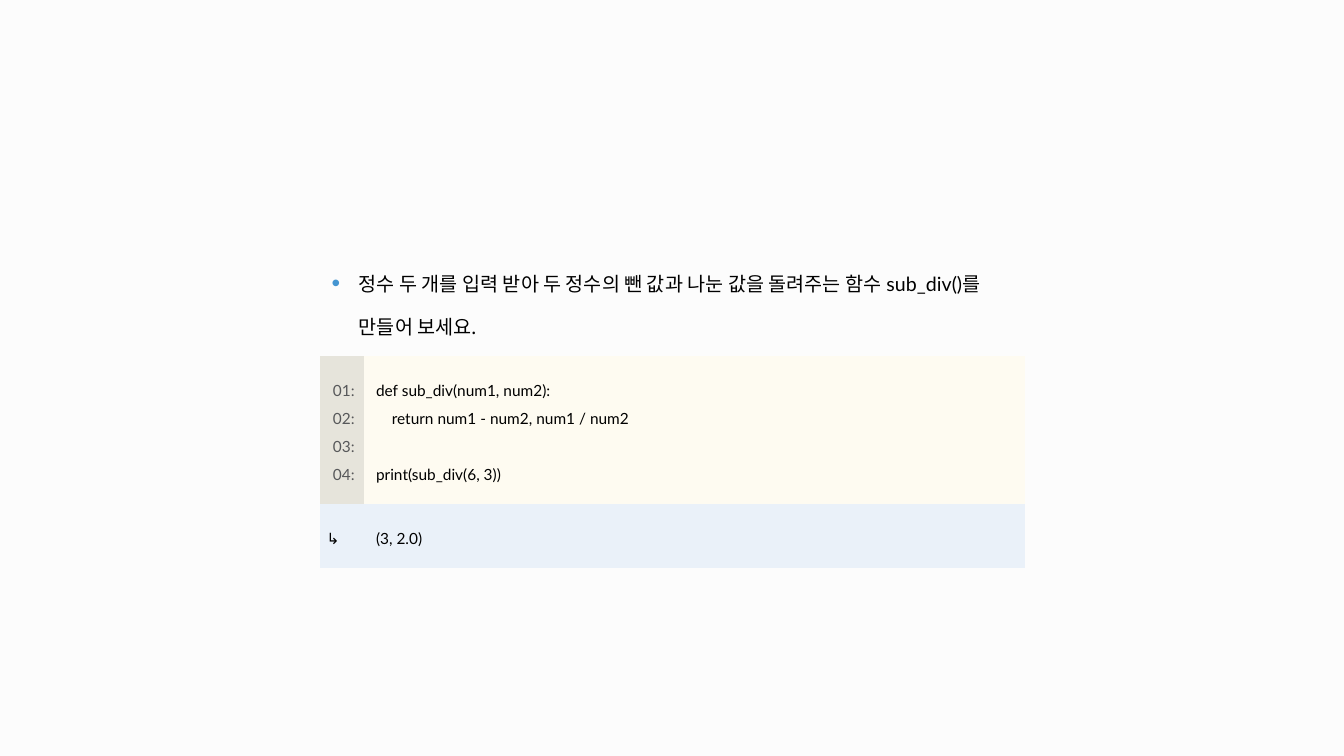
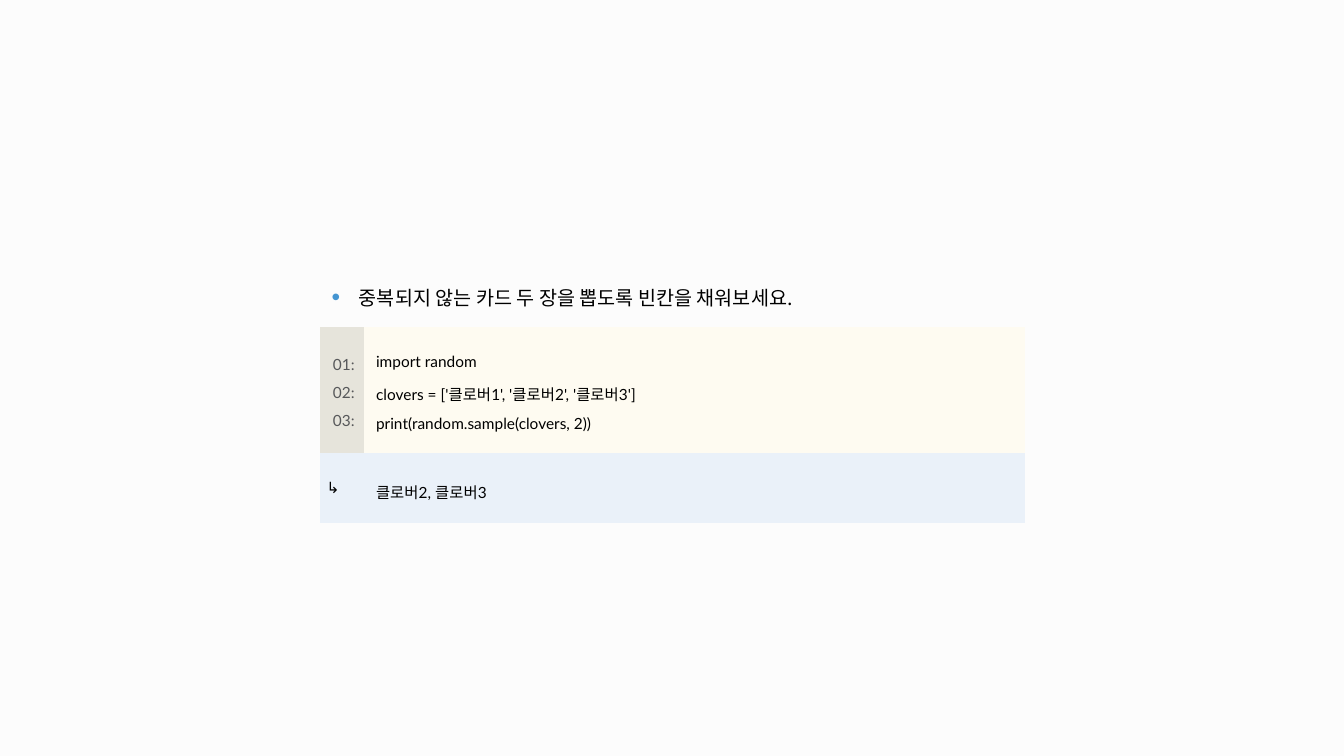
from pptx import Presentation
from pptx.dml.color import RGBColor as Rgb
from pptx.enum.text import MSO_ANCHOR as Anchor, PP_ALIGN as Align
from pptx.oxml import parse_xml as to_xml
from pptx.oxml.ns import nsdecls, qn
from pptx.util import Inches, Pt

LATIN, HANGUL = "Lato", "Noto Sans CJK KR"
BLACK, GRAY, BLUE = "000000", "57585A", "4495D1"
PAGE, GUTTER, CODE, OUTPUT = "FCFCFC", "E6E4DB", "FEFBF1", "EAF1F9"
NO_GRID = "{2D5ABB26-0587-4C30-8999-92F81FD0307C}"
LEFT, COLS = 3.17, (0.44, 6.56)
LINE = 20  # points that one line of code takes up


def color(code):
    return Rgb.from_string(code)


def add_text(par, text, size=11, font=LATIN, ink=BLACK):
    run = par.add_run()
    run.text = text
    run.font.size = Pt(size)
    run.font.name = font
    run.font.color.rgb = color(ink)
    east = to_xml(f'<a:ea {nsdecls("a")} typeface="{HANGUL}"/>')
    run.font._element.find(qn("a:latin")).addnext(east)


class Deck:
    def __init__(self):
        self.prs = Presentation()
        self.prs.slide_width = Inches(13.33)
        self.prs.slide_height = Inches(7.5)
        self.slide = None

    def add_slide(self):
        self.slide = self.prs.slides.add_slide(self.prs.slide_layouts[6])
        fill = self.slide.background.fill
        fill.solid()
        fill.fore_color.rgb = color(PAGE)

    def add_grid(self, top, rows):
        frame = self.slide.shapes.add_table(
            len(rows), len(COLS), Inches(LEFT), Inches(top),
            Inches(sum(COLS)), Inches(sum(rows)))
        table = frame.table
        table.first_row = table.horz_banding = False
        for style in frame.element.iter(qn("a:tableStyleId")):
            style.text = NO_GRID
        for col, width in zip(table.columns, COLS):
            col.width = Inches(width)
        for row, height in zip(table.rows, rows):
            row.height = Inches(height)
        return table

    def set_cell(self, cell, pads, fill=None, anchor=Anchor.MIDDLE):
        cell.margin_left, cell.margin_top, cell.margin_right, cell.margin_bottom = map(Inches, pads)
        cell.vertical_anchor = anchor
        if fill:
            cell.fill.solid()
            cell.fill.fore_color.rgb = color(fill)
        else:
            cell.fill.background()

    def add_lines(self, cell, lines, align=Align.LEFT, ink=BLACK):
        frame, gap = cell.text_frame, 0
        for i, line in enumerate(lines):
            if not line:  # an empty line of code becomes space
                gap += LINE
                continue
            par = frame.add_paragraph() if i else frame.paragraphs[0]
            par.alignment = align
            par.line_spacing = 1.5
            if gap:
                par.space_before = Pt(gap)
            gap = 0
            add_text(par, line, ink=ink)

    def add_task(self, cell, parts):
        par = cell.text_frame.paragraphs[0]
        props = par._p.get_or_add_pPr()
        props.set("marL", str(Inches(0.27)))
        props.set("indent", str(-Inches(0.27)))
        for bit in (f'<a:buClr {nsdecls("a")}><a:srgbClr val="{BLUE}"/></a:buClr>',
                    f'<a:buSzPct {nsdecls("a")} val="125000"/>',
                    f'<a:buFont {nsdecls("a")} typeface="Arial"/>',
                    f'<a:buChar {nsdecls("a")} char="•"/>'):
            props.append(to_xml(bit))
        par.line_spacing = 1.5
        for text, font in parts:
            add_text(par, text, size=14, font=font)

    def add_quiz(self, top, rows, task, code, result):
        self.add_slide()
        table = self.add_grid(top, rows)

        # Task across both columns
        head = table.cell(0, 0)
        head.merge(table.cell(0, 1))
        self.set_cell(head, (0.12, 0.04, 0, 0.16))
        self.add_task(head, task)

        # Line numbers and code
        nums, body = table.cell(1, 0), table.cell(1, 1)
        self.set_cell(nums, (0.04, 0.04, 0, 0.08), GUTTER)
        self.add_lines(nums, [f"{n:02}:" for n in range(1, len(code) + 1)],
                       align=Align.CENTER, ink=GRAY)
        self.set_cell(body, (0.12, 0.16, 0, 0.2), CODE)
        self.add_lines(body, code)

        # Output
        mark, out = table.cell(2, 0), table.cell(2, 1)
        self.set_cell(mark, (0.07, 0.16, 0, 0.2), OUTPUT, Anchor.TOP)
        self.add_lines(mark, ["↳"])
        self.set_cell(out, (0.12, 0.16, 0, 0.2), OUTPUT)
        self.add_lines(out, [result])


def main():
    deck = Deck()
    deck.add_quiz(
        2.48, (1.05, 1.47, 0.63),
        [("정수 두 개를 입력 받아 두 정수의 뺀 값과 나눈 값을 돌려주는 함수 ", HANGUL),
         ("sub_div()", LATIN), ("를 만들어 보세요.", HANGUL)],
        ["def sub_div(num1, num2):",
         "    return num1 - num2, num1 / num2",
         "",
         "print(sub_div(6, 3))"],
        "(3, 2.0)")
    deck.add_quiz(
        2.62, (0.62, 1.24, 0.68),
        [("중복되지 않는 카드 두 장을 뽑도록 빈칸을 채워보세요.", HANGUL)],
        ["import random",
         "clovers = ['클로버1', '클로버2', '클로버3']",
         "print(random.sample(clovers, 2))"],
        "클로버2, 클로버3")
    deck.prs.save("out.pptx")


if __name__ == "__main__":
    main()
